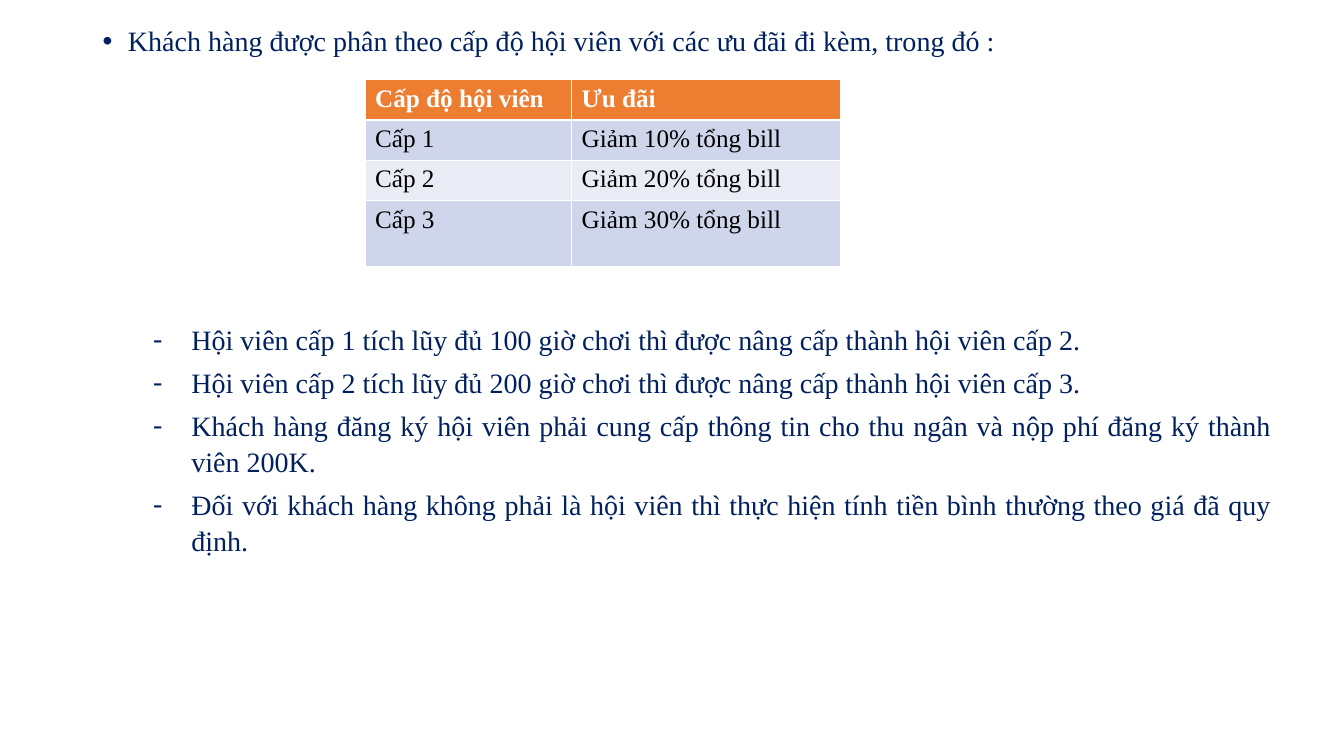
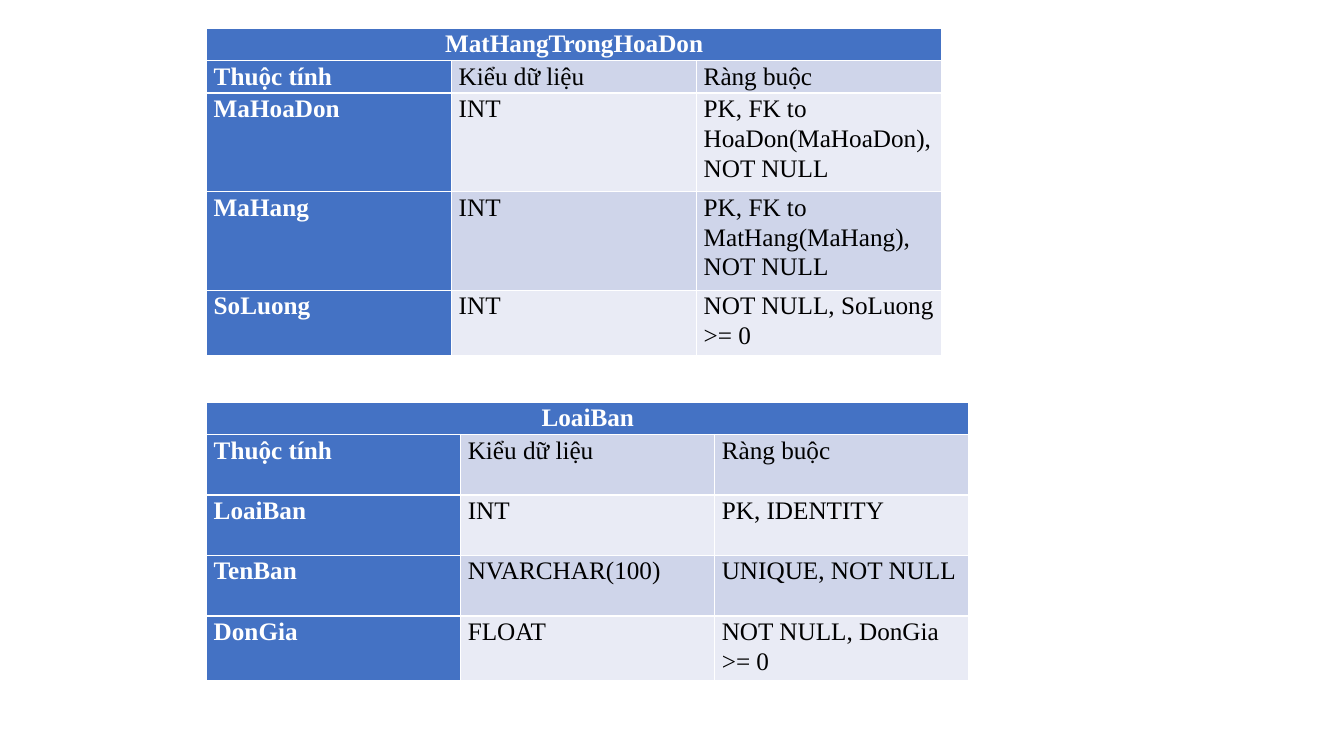
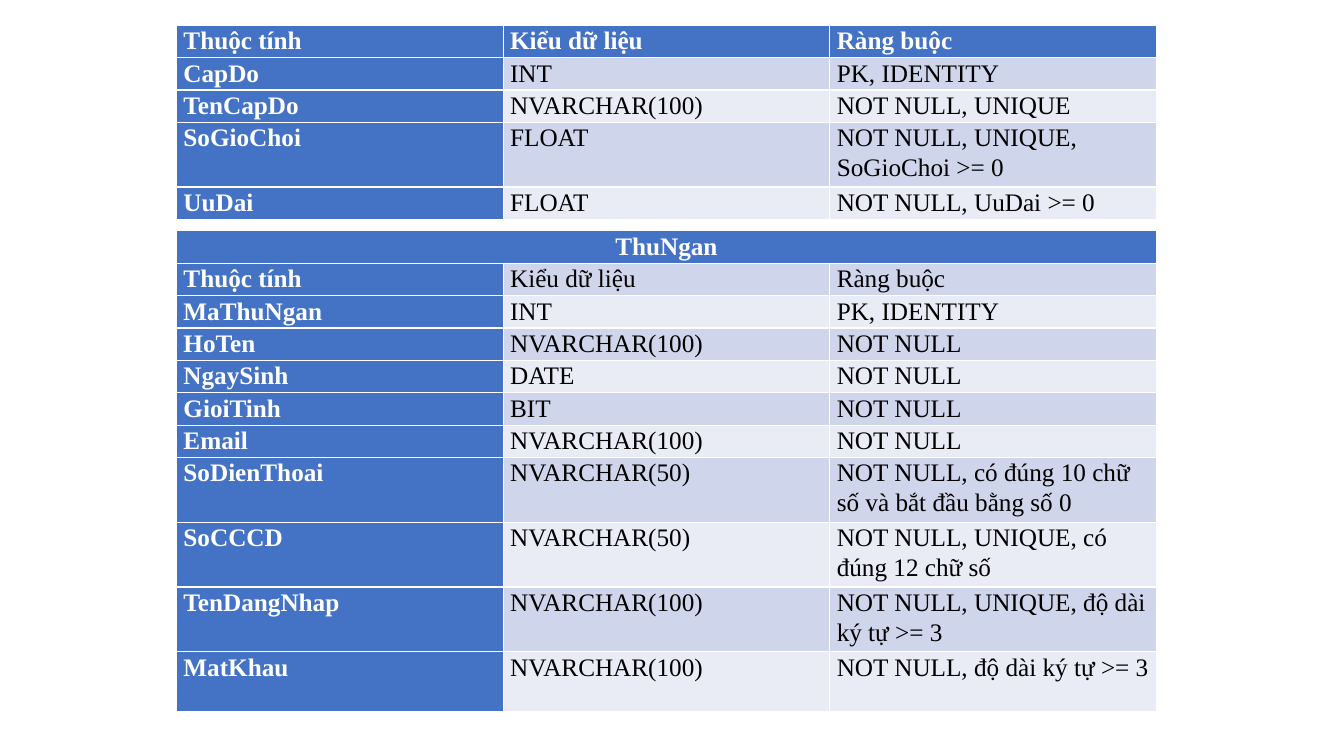
"""Build three slides on membership levels and database table definitions."""
from lxml import etree
from pptx import Presentation
from pptx.dml.color import RGBColor
from pptx.enum import text
from pptx.oxml import ns
from pptx.util import Inches, Pt

FONT = "Times New Roman"
NAVY = RGBColor(0x00, 0x20, 0x60)
ORANGE = RGBColor(0xED, 0x7D, 0x31)
BLUE = RGBColor(0x44, 0x72, 0xC4)
BANDS = (RGBColor(0xE9, 0xEB, 0xF5), RGBColor(0xCF, 0xD5, 0xEA))
WHITE = RGBColor(0xFF, 0xFF, 0xFF)
BLACK = RGBColor(0x00, 0x00, 0x00)
HEADINGS = ("Thuộc tính", "Kiểu dữ liệu", "Ràng buộc")
LINE, TWO_LINES = 0.29, 0.59


def add_bullets(slide, place, items, mark, mark_font, left, hanging, spacing, before, align):
    frame = slide.shapes.add_textbox(*map(Inches, place)).text_frame
    frame.word_wrap = True
    for index, item in enumerate(items):
        paragraph = frame.paragraphs[0] if index == 0 else frame.add_paragraph()
        paragraph.text = item
        props = paragraph._p.get_or_add_pPr()
        props.set("marL", str(Inches(left)))
        props.set("indent", str(-Inches(hanging)))
        etree.SubElement(props, ns.qn("a:buFont"), typeface=mark_font)
        etree.SubElement(props, ns.qn("a:buChar"), char=mark)
        paragraph.alignment = align
        paragraph.line_spacing = spacing
        if index:
            paragraph.space_before = Pt(before)
        font = paragraph.runs[0].font
        font.name, font.size, font.color.rgb = FONT, Pt(20), NAVY


def add_grid(slide, left, top, widths, heights, rows, accent=BLUE, schema=True):
    table = slide.shapes.add_table(
        len(rows), len(widths), Inches(left), Inches(top),
        Inches(sum(widths)), Inches(sum(heights))).table
    table.first_col = schema
    for column, width in zip(table.columns, widths):
        column.width = Inches(width)
    for r, (row, height) in enumerate(zip(rows, heights)):
        table.rows[r].height = Inches(height)
        if len(row) == 1:
            table.cell(r, 0).merge(table.cell(r, len(widths) - 1))
        for c, wording in enumerate(row):
            cell = table.cell(r, c)
            strong = r == 0 or (schema and c == 0)
            cell.fill.solid()
            cell.fill.fore_color.rgb = accent if strong else BANDS[r % 2]
            paragraph = cell.text_frame.paragraphs[0]
            paragraph.text = wording
            if schema:
                cell.margin_left = cell.margin_right = Inches(0.07)
                cell.margin_top = cell.margin_bottom = 0
                paragraph.line_spacing = 1.07
            if len(row) == 1:
                paragraph.alignment = text.PP_ALIGN.CENTER
            font = paragraph.runs[0].font
            font.name, font.size, font.bold = FONT, Pt(18), strong
            font.color.rgb = WHITE if strong else BLACK


deck = Presentation()
deck.slide_width, deck.slide_height = Inches(13.33), Inches(7.5)
members, orders, staff = [deck.slides.add_slide(deck.slide_layouts[6]) for _ in range(3)]

add_bullets(
    members, (0.92, 0.22, 11.79, 0.45),
    ["Khách hàng được phân theo cấp độ hội viên với các ưu đãi đi kèm, trong đó :"],
    "•", "Arial", 0.25, 0.25, 0.9, 0, text.PP_ALIGN.LEFT)
add_grid(
    members, 3.62, 0.79, (2.05, 2.67), (0.4, 0.4, 0.4, 0.65),
    [("Cấp độ hội viên", "Ưu đãi")]
    + [(f"Cấp {level}", f"Giảm {level}0% tổng bill") for level in (1, 2, 3)],
    accent=ORANGE, schema=False)
add_bullets(
    members, (0.92, 3.13, 11.79, 2.6),
    ["Hội viên cấp 1 tích lũy đủ 100 giờ chơi thì được nâng cấp thành hội viên cấp 2.",
     "Hội viên cấp 2 tích lũy đủ 200 giờ chơi thì được nâng cấp thành hội viên cấp 3.",
     "Khách hàng đăng ký hội viên phải cung cấp thông tin cho thu ngân và nộp phí "
     "đăng ký thành viên 200K.",
     "Đối với khách hàng không phải là hội viên thì thực hiện tính tiền bình thường "
     "theo giá đã quy định."],
    "-", FONT, 0.88, 0.38, 1.07, 5, text.PP_ALIGN.JUSTIFY)

add_grid(
    orders, 2.05, 0.28, [2.43] * 3, (0.31, 0.31, 0.98, 0.98, 0.64),
    [("MatHangTrongHoaDon",),
     HEADINGS,
     ("MaHoaDon", "INT", "PK, FK to HoaDon(MaHoaDon), NOT NULL"),
     ("MaHang", "INT", "PK, FK to MatHang(MaHang), NOT NULL"),
     ("SoLuong", "INT", "NOT NULL, SoLuong >= 0")])
add_grid(
    orders, 2.05, 3.99, [2.52] * 3, [LINE] + [0.6] * 4,
    [("LoaiBan",),
     HEADINGS,
     ("LoaiBan", "INT", "PK, IDENTITY"),
     ("TenBan", "NVARCHAR(100)", "UNIQUE, NOT NULL"),
     ("DonGia", "FLOAT", "NOT NULL, DonGia >= 0")])

add_grid(
    staff, 1.75, 0.25, [3.24] * 3, (LINE, LINE, LINE, TWO_LINES, LINE),
    [HEADINGS,
     ("CapDo", "INT", "PK, IDENTITY"),
     ("TenCapDo", "NVARCHAR(100)", "NOT NULL, UNIQUE"),
     ("SoGioChoi", "FLOAT", "NOT NULL, UNIQUE, SoGioChoi >= 0"),
     ("UuDai", "FLOAT", "NOT NULL, UuDai >= 0")])
add_grid(
    staff, 1.75, 2.29, [3.24] * 3, [LINE] * 7 + [TWO_LINES] * 4,
    [("ThuNgan",),
     HEADINGS,
     ("MaThuNgan", "INT", "PK, IDENTITY"),
     ("HoTen", "NVARCHAR(100)", "NOT NULL"),
     ("NgaySinh", "DATE", "NOT NULL"),
     ("GioiTinh", "BIT", "NOT NULL"),
     ("Email", "NVARCHAR(100)", "NOT NULL"),
     ("SoDienThoai", "NVARCHAR(50)", "NOT NULL, có đúng 10 chữ số và bắt đầu bằng số 0"),
     ("SoCCCD", "NVARCHAR(50)", "NOT NULL, UNIQUE, có đúng 12 chữ số"),
     ("TenDangNhap", "NVARCHAR(100)", "NOT NULL, UNIQUE, độ dài ký tự >= 3"),
     ("MatKhau", "NVARCHAR(100)", "NOT NULL, độ dài ký tự >= 3")])

deck.save("out.pptx")
